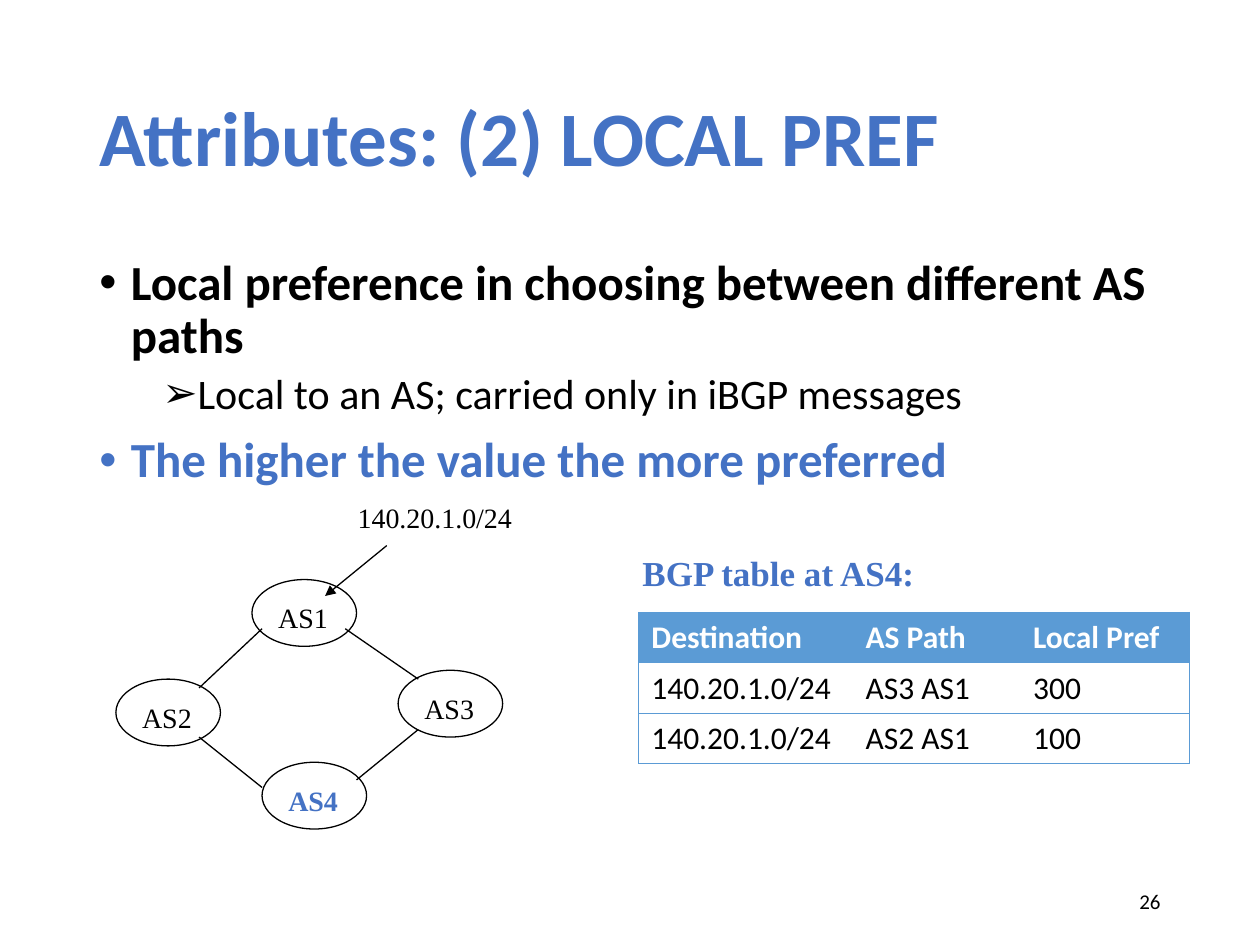
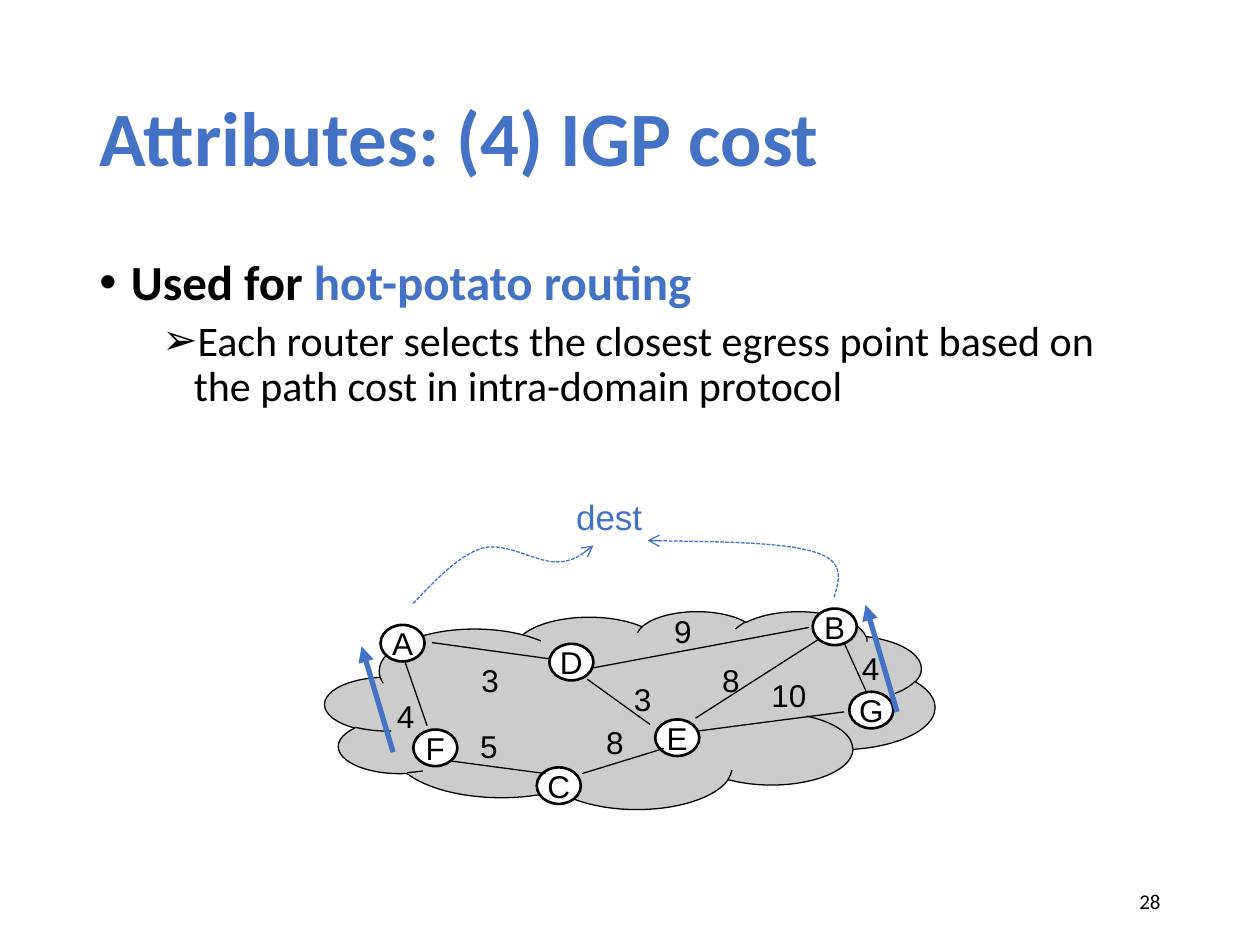
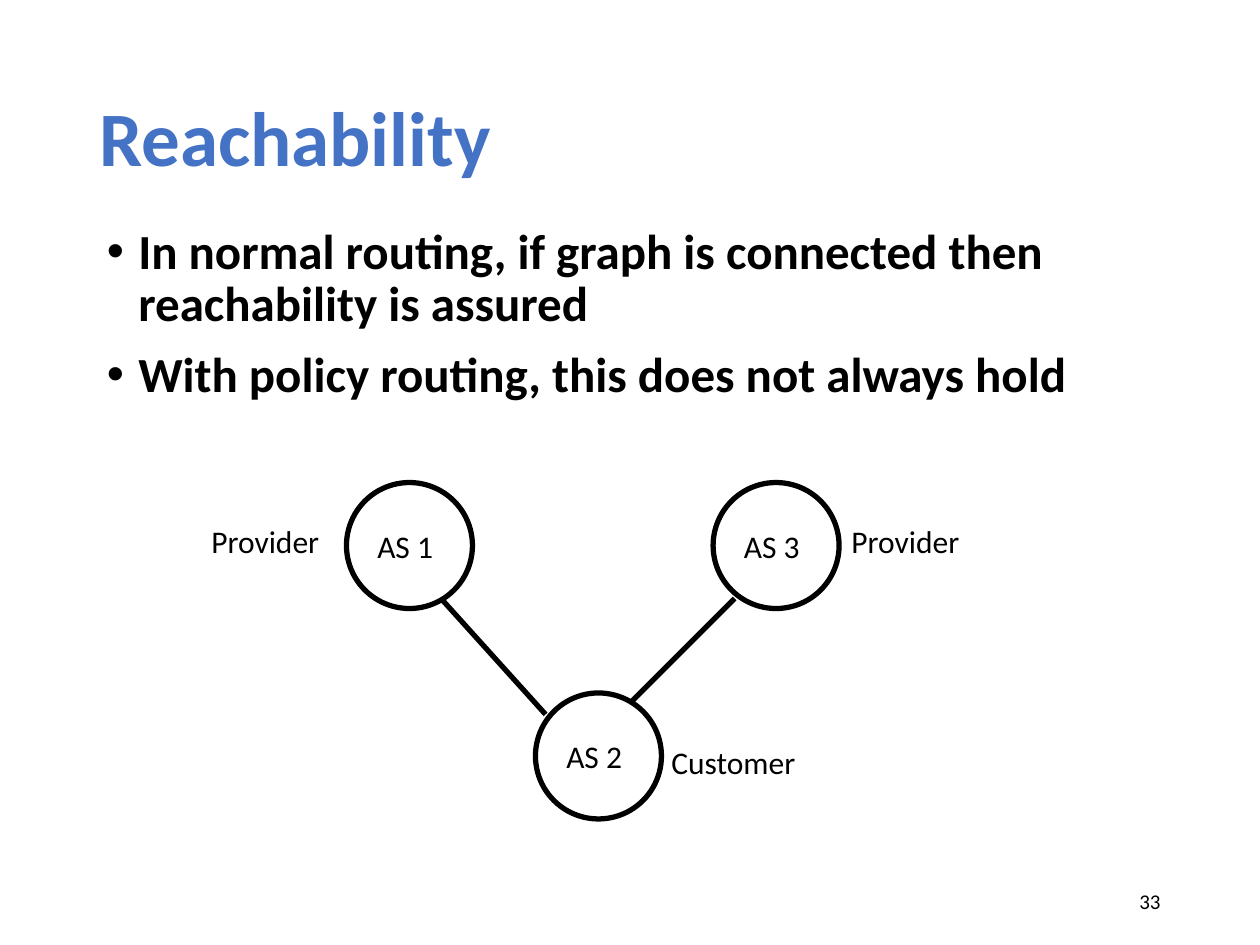
from lxml import etree
from pptx import Presentation
from pptx.dml.color import RGBColor
from pptx.enum.dml import MSO_LINE
from pptx.enum.shapes import MSO_CONNECTOR, MSO_SHAPE
from pptx.enum.text import MSO_ANCHOR, MSO_AUTO_SIZE, PP_ALIGN
from pptx.oxml.ns import qn
from pptx.util import Inches, Pt

BLACK = RGBColor(0, 0, 0)
WHITE = RGBColor(255, 255, 255)
BLUE = RGBColor(0x44, 0x72, 0xC4)
SKY = RGBColor(0x5B, 0x9B, 0xD5)
GREY = RGBColor(0xCC, 0xCC, 0xCC)

SANS, SERIF, ARIAL = "Calibri", "Times New Roman", "Arial"
LEFT, CENTER, RIGHT = PP_ALIGN.LEFT, PP_ALIGN.CENTER, PP_ALIGN.RIGHT
TOP, MIDDLE = MSO_ANCHOR.TOP, MSO_ANCHOR.MIDDLE
OVAL, CLOUD = MSO_SHAPE.OVAL, MSO_SHAPE.CLOUD
STRAIGHT = MSO_CONNECTOR.STRAIGHT
DASH = MSO_LINE.SQUARE_DOT
GROW, FIXED = MSO_AUTO_SIZE.SHAPE_TO_FIT_TEXT, MSO_AUTO_SIZE.NONE
PLAIN = "{2D5ABB26-0587-4C30-8999-92F81FD0307C}"
BODY = (0.69, 2, 8.58, 4.76)


def write(para, text, size=18, face=SANS, color=BLACK, bold=False):
    """Add one formatted run to a paragraph."""
    run = para.add_run()
    run.text = text
    font = run.font
    font.size, font.name, font.bold = Pt(size), face, bold
    font.color.rgb = color


def label(slide, box, text, align=LEFT, anchor=TOP, wrap=False, lead=None, **form):
    """Add a text box holding one paragraph."""
    frame = slide.shapes.add_textbox(*map(Inches, box)).text_frame
    frame.word_wrap = wrap
    frame.auto_size = FIXED if wrap else GROW
    frame.vertical_anchor = anchor
    para = frame.paragraphs[0]
    para.alignment, para.line_spacing = align, lead
    write(para, text, **form)


def start(deck, title, number):
    """Add a blank slide with its title and page number."""
    slide = deck.slides.add_slide(deck.slide_layouts[6])
    label(slide, (0.69, 0.4, 8.62, 1.45), title, anchor=MIDDLE, wrap=True,
          lead=0.9, size=44, color=BLUE, bold=True)
    label(slide, (7.06, 6.95, 2.25, 0.4), str(number), align=RIGHT,
          anchor=MIDDLE, wrap=True, size=12)
    return slide


def bullets(slide, box, items):
    """Add a bulleted list from (level, runs) items, runs being (text, colour)."""
    frame = slide.shapes.add_textbox(*map(Inches, box)).text_frame
    frame.word_wrap = True
    for i, (level, runs) in enumerate(items):
        para = frame.add_paragraph() if i else frame.paragraphs[0]
        props = para._p.get_or_add_pPr()
        props.set("marL", str(Inches(0.25 + 0.5 * level)))
        props.set("indent", str(Inches(-0.25)))
        etree.SubElement(props, qn("a:buFont")).set("typeface", ARIAL)
        etree.SubElement(props, qn("a:buChar")).set("char", "•➢"[level])
        para.level, para.line_spacing = level, 0.9
        if i:
            para.space_before = Pt((10, 5)[level])
        for text, color in runs:
            write(para, text, size=(28, 24)[level], color=color, bold=not level)


def stroke(shape, color, width, tip=None):
    """Set a line's colour, width and optional arrowhead."""
    shape.line.color.rgb = color
    shape.line.width = Pt(width)
    if tip:
        line = shape.element.spPr.find(qn("a:ln"))
        etree.SubElement(line, qn("a:tailEnd")).set("type", tip)


def join(slide, head, tail, color=BLACK, width=0.75, tip=None):
    """Draw a straight line between two points."""
    wire = slide.shapes.add_connector(STRAIGHT, *map(Inches, head + tail))
    stroke(wire, color, width, tip)
    etree.SubElement(wire.element.spPr, qn("a:effectLst"))


def shape(slide, kind, box, fill=None, width=0.75):
    """Add an outlined preset shape."""
    item = slide.shapes.add_shape(kind, *map(Inches, box))
    item.shadow.inherit = False
    stroke(item, BLACK, width)
    if fill is None:
        item.fill.background()
    else:
        item.fill.solid()
        item.fill.fore_color.rgb = fill
    return item


def node(slide, box, text, align=LEFT, face=SANS, **look):
    """Add an ellipse with a name inside."""
    frame = shape(slide, OVAL, box, **look).text_frame
    frame.word_wrap = False
    frame.vertical_anchor = MIDDLE
    frame.paragraphs[0].alignment = align
    write(frame.paragraphs[0], text, face=face)


def curve(slide, points, steps=16):
    """Draw a dashed arrow along chained cubic curves."""
    track = []
    for i in range(0, len(points) - 1, 3):
        part = points[i:i + 4]
        for n in range(1, steps + 1):
            t = n / steps
            u = 1 - t
            mix = (u ** 3, 3 * u * u * t, 3 * u * t * t, t ** 3)
            track.append([Inches(sum(m * p[k] for m, p in zip(mix, part)))
                          for k in (0, 1)])
    pen = slide.shapes.build_freeform(*map(Inches, points[0]))
    pen.add_line_segments(track, close=False)
    path = pen.convert_to_shape()
    path.shadow.inherit = False
    path.fill.background()
    path.line.dash_style = DASH
    stroke(path, BLUE, 0.75, "arrow")


def edge(cell, sides):
    """Draw borders on the named sides of a cell."""
    props = cell._tc.get_or_add_tcPr()
    for i, side in enumerate(sides):
        line = etree.Element(qn("a:ln" + side), w=str(Pt(0.5)))
        paint = etree.SubElement(line, qn("a:solidFill"))
        etree.SubElement(paint, qn("a:srgbClr")).set("val", str(SKY))
        props.insert(i, line)


def table(slide, spot, widths, height, rows):
    """Add a table with a filled header and ruled rows."""
    size = (sum(widths), height * len(rows))
    grid = slide.shapes.add_table(len(rows), len(widths),
                                  *map(Inches, spot + size)).table
    grid.horz_banding = False
    grid._tbl.tblPr.find(qn("a:tableStyleId")).text = PLAIN
    for col, width in zip(grid.columns, widths):
        col.width = Inches(width)
    for r, row in enumerate(rows):
        grid.rows[r].height = Inches(height)
        for c, text in enumerate(row):
            cell = grid.cell(r, c)
            if r:
                cell.fill.background()
            else:
                cell.fill.solid()
                cell.fill.fore_color.rgb = SKY
            write(cell.text_frame.paragraphs[0], text,
                  color=BLACK if r else WHITE, bold=not r)
            sides = ["L"] if c == 0 else []
            sides += ["R"] if c == len(row) - 1 else []
            edge(cell, sides + ["T", "B"])


def pref(deck):
    """Build the local preference slide."""
    slide = start(deck, "Attributes: (2) LOCAL PREF", 26)
    bullets(slide, BODY, [
        (0, [("Local preference in choosing between different AS paths", BLACK)]),
        (1, [("Local to an AS; carried only in iBGP messages", BLACK)]),
        (0, [("The higher the value the more preferred", BLUE)]),
    ])
    spots = {"AS1": (2, 4.6), "AS2": (0.92, 5.39),
             "AS3": (3.16, 5.32), "AS4": (2.08, 6.05)}
    for name, (x, y) in spots.items():
        here = name == "AS4"
        shape(slide, OVAL, (x, y, 0.83, 0.53))
        label(slide, (x + 0.11, y + 0.12, 0.6, 0.3), name, size=16, face=SERIF,
              color=BLUE if here else BLACK, bold=here)
    for head, tail in [((2.08, 4.99), (1.58, 5.46)), ((3.32, 5.79), (2.83, 6.19)),
                       ((1.58, 5.85), (2.08, 6.25)), ((2.74, 4.99), (3.32, 5.39))]:
        join(slide, head, tail)
    label(slide, (2.74, 3.92, 1.6, 0.37), "140.20.1.0/24", size=16, face=SERIF)
    join(slide, (3.07, 4.33), (2.58, 4.73), tip="triangle")
    label(slide, (5, 4.33, 2.38, 0.44), "BGP table at AS4:", size=20, face=SERIF,
          color=BLUE, bold=True)
    table(slide, (5.07, 4.86), (1.7, 1.33, 1.34), 0.4, [
        ("Destination", "AS Path", "Local Pref"),
        ("140.20.1.0/24", "AS3 AS1", "300"),
        ("140.20.1.0/24", "AS2 AS1", "100"),
    ])


def cost(deck):
    """Build the IGP cost slide."""
    slide = start(deck, "Attributes: (4) IGP cost", 28)
    bullets(slide, BODY, [
        (0, [("Used for ", BLACK), ("hot-potato routing", BLUE)]),
        (1, [("Each router selects the closest egress point based on the path "
              "cost in intra-domain protocol", BLACK)]),
    ])
    shape(slide, CLOUD, (2.58, 4.85, 4.84, 1.57), fill=GREY)
    spots = {"C": (4.26, 6.09), "D": (4.36, 5.11), "G": (6.74, 5.49),
             "E": (5.2, 5.71), "F": (3.28, 5.79), "A": (3.02, 4.96),
             "B": (6.45, 4.83)}

    def place(names):
        """Add the named routers."""
        for name in names:
            node(slide, spots[name] + (0.35, 0.29), name, align=CENTER,
                 face=ARIAL, fill=WHITE, width=1.5)

    place("CDGEF")
    links = [
        ((3.39, 5.76), (3.21, 5.24), "4", (3.22, 5.48)),
        ((3.58, 6.04), (4.33, 6.14), "5", (3.88, 5.72)),
        ((3.43, 5.1), (4.37, 5.23), "3", (3.89, 5.2)),
        ((4.62, 6.14), (5.27, 5.94), "8", (4.88, 5.69)),
        ((4.66, 5.39), (5.16, 5.75), "3", (5.1, 5.35)),
        ((4.71, 5.3), (6.42, 4.98), "9", (5.42, 4.81)),
        ((5.55, 5.8), (6.7, 5.65), "10", (6.26, 5.32)),
        ((6.88, 5.5), (6.68, 5.06), "4", (6.91, 5.1)),
        ((5.52, 5.7), (6.55, 5.04), "8", (5.8, 5.2)),
    ]
    for head, tail, text, (mid, top) in links:
        join(slide, head, tail)
        wide = 0.2 + 0.14 * len(text)
        label(slide, (mid - wide / 2, top, wide, 0.4), text, align=CENTER,
              face=ARIAL)
    place("AB")
    curve(slide, [(3.28, 4.79), (3.46, 4.6), (3.64, 4.41), (3.83, 4.35),
                  (4.02, 4.3), (4.27, 4.47), (4.42, 4.46),
                  (4.56, 4.46), (4.63, 4.39), (4.71, 4.33)])
    curve(slide, [(6.62, 4.74), (6.66, 4.6), (6.71, 4.45), (6.46, 4.38),
                  (6.21, 4.3), (5.67, 4.3), (5.14, 4.29)])
    label(slide, (4.47, 3.88, 0.73, 0.44), "dest", align=CENTER, size=20,
          face=ARIAL, color=BLUE)
    for head, tail in [((3.12, 5.97), (2.87, 5.13)), ((7.12, 5.65), (6.87, 4.8))]:
        join(slide, head, tail, color=BLUE, width=3, tip="triangle")


def reach(deck):
    """Build the reachability slide."""
    slide = start(deck, "Reachability", 33)
    bullets(slide, (0.75, 1.75, 8.67, 1.89), [
        (0, [("In normal routing, if graph is connected then reachability is "
              "assured", BLACK)]),
        (0, [("With policy routing, this does not always hold", BLACK)]),
    ])
    for name, x, y in [("AS 2", 4.25, 5.5), ("AS 3", 5.66, 3.83),
                       ("AS 1", 2.75, 3.83)]:
        node(slide, (x, y, 1, 1), name, width=3)
    join(slide, (5, 5.58), (5.83, 4.75), width=3)
    join(slide, (4.33, 5.67), (3.5, 4.75), width=3)
    for role, x, y, wide in [("Provider", 1.58, 4.08, 1.33),
                             ("Provider", 6.66, 4.08, 1.33),
                             ("Customer", 5.23, 5.83, 1.52)]:
        label(slide, (x, y, wide, 0.43), role, anchor=MIDDLE)


def main():
    """Build and save the deck."""
    deck = Presentation()
    deck.slide_width, deck.slide_height = Inches(10), Inches(7.5)
    pref(deck)
    cost(deck)
    reach(deck)
    deck.save("out.pptx")


if __name__ == "__main__":
    main()
